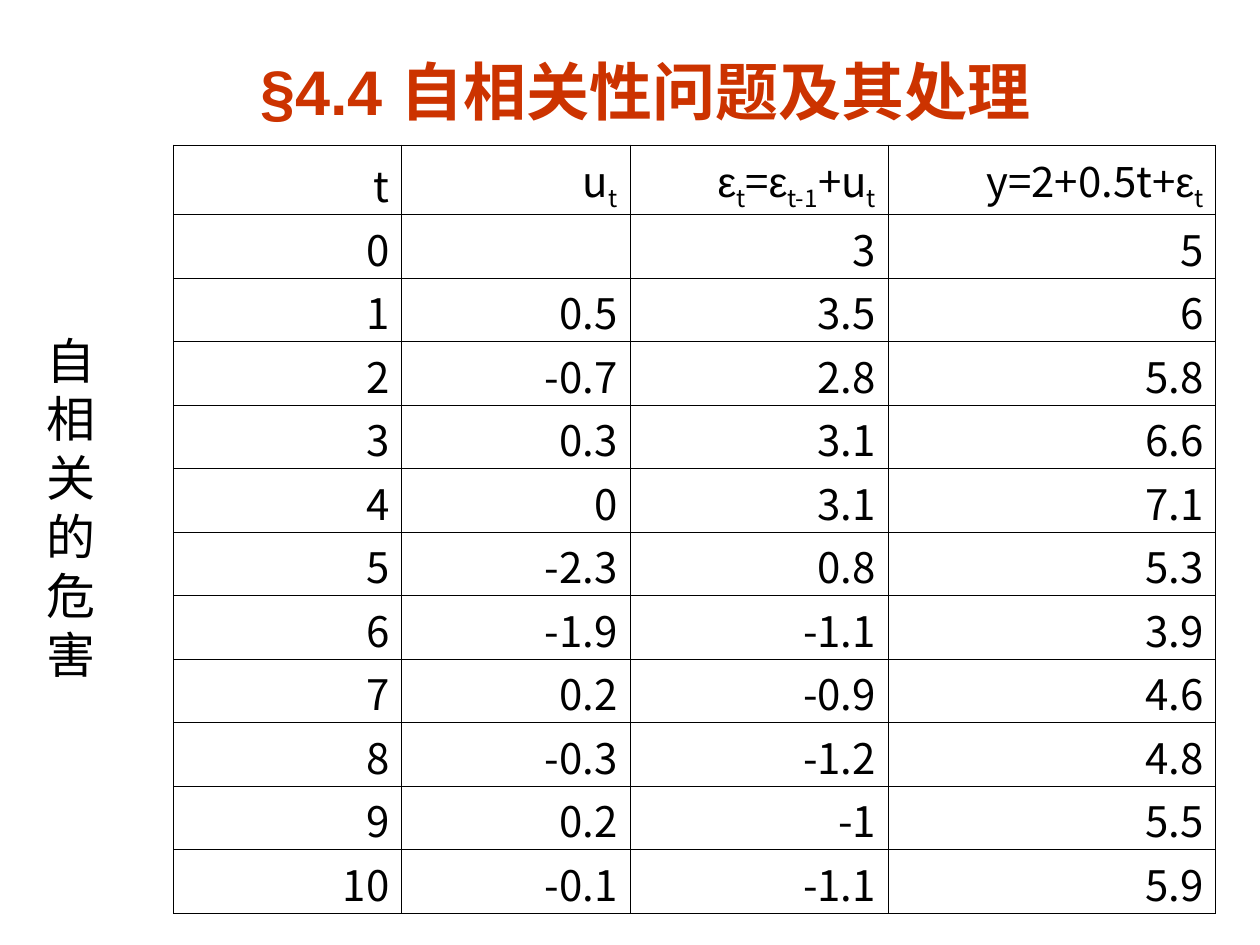
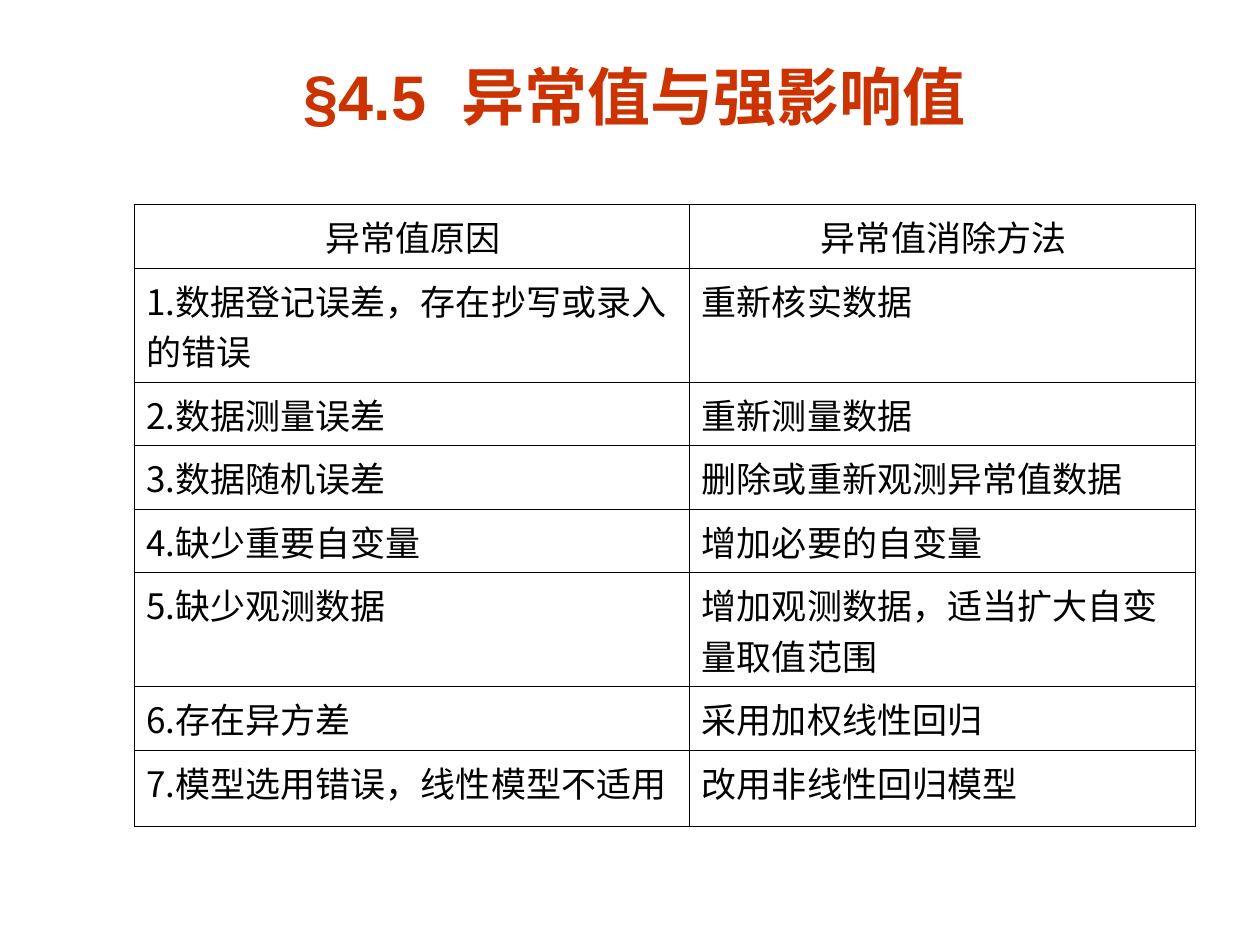
"""Build two statistics slides: an autocorrelation data table and outlier remedies."""
from dataclasses import dataclass

from lxml import etree
from pptx import Presentation
from pptx import util as u
from pptx.dml.color import RGBColor
from pptx.enum import text
from pptx.oxml.ns import qn

Cm, Pt = u.Cm, u.Pt
COLORS = {"title": "CC3300", "ink": "000000"}
LATIN, CJK = "Arial", "Noto Sans CJK SC"
LEFT, CENTER, RIGHT = text.PP_ALIGN.LEFT, text.PP_ALIGN.CENTER, text.PP_ALIGN.RIGHT
TOP, MIDDLE, BOTTOM = text.MSO_ANCHOR.TOP, text.MSO_ANCHOR.MIDDLE, text.MSO_ANCHOR.BOTTOM


@dataclass(frozen=True)
class Title:
    """A section number and heading, with the gap and offsets that place them."""
    number: str
    heading: str
    gap: int = 0
    pad_top: float = 0.13
    pad_right: float = 0.25


@dataclass(frozen=True)
class Grid:
    """A bordered table with its geometry and text style; insets run l, t, r, b."""
    left: float
    top: float
    cols: list[float]
    heights: list[float]
    rows: list[tuple]
    size: int
    head_align: text.PP_ALIGN
    body_align: text.PP_ALIGN
    anchor: text.MSO_ANCHOR
    insets: tuple[float, float, float, float]
    line: int | None = None


def style(p, size: int, name: str, color: str = "ink", bold: bool = False, align=LEFT) -> None:
    """Set the font and alignment of a whole paragraph."""
    p.alignment = align
    f = p.font
    f.size, f.bold = Pt(size), bold
    f.color.rgb = RGBColor.from_string(COLORS[color])
    f.name = name
    etree.SubElement(f._element, qn("a:ea"), typeface=CJK)


def add_title(s, title: Title) -> None:
    """Draw the centred slide title."""
    tf = s.shapes.add_textbox(Cm(2.11), Cm(0.71), Cm(21.79), Cm(2.21)).text_frame
    tf.word_wrap, tf.vertical_anchor = True, MIDDLE
    tf.margin_top, tf.margin_right = Cm(title.pad_top), Cm(title.pad_right)
    p = tf.paragraphs[0]
    for part in (title.number, " ", title.heading):
        r = p.add_run()
        r.text = part
        if part == " " and title.gap:
            r.font._element.set("spc", str(title.gap))
    style(p, 36, LATIN, "title", True, CENTER)


def add_side_label(s, label: str) -> None:
    """Draw a narrow label that wraps after every character."""
    tf = s.shapes.add_textbox(Cm(0.69), Cm(6.53), Cm(1.6), Cm(7.37)).text_frame
    tf.word_wrap = True
    p = tf.paragraphs[0]
    p.text = label
    style(p, 28, LATIN)


def add_borders(cell, width: float = 0.45) -> None:
    """Give a cell thin lines on all four sides and no fill."""
    tc_pr = cell._tc.get_or_add_tcPr()
    for side in ("lnL", "lnR", "lnT", "lnB"):
        ln = etree.SubElement(tc_pr, qn(f"a:{side}"), w=str(Pt(width)))
        fill = etree.SubElement(ln, qn("a:solidFill"))
        etree.SubElement(fill, qn("a:srgbClr"), val=COLORS["ink"])
    cell.fill.background()


def add_runs(p, parts: tuple[str, ...]) -> None:
    """Add runs; a leading underscore marks a subscript."""
    for part in parts:
        r = p.add_run()
        r.text = part.removeprefix("_")
        if part.startswith("_"):
            r.font._element.set("baseline", "-25000")
        if part == "ε":
            r.font.name = LATIN


def fill_cell(cell, value, grid: Grid, align: text.PP_ALIGN) -> None:
    """Write a cell; a tuple holds runs and a line break starts a paragraph."""
    cell.margin_left, cell.margin_top, cell.margin_right, cell.margin_bottom = map(Cm, grid.insets)
    cell.vertical_anchor = grid.anchor
    add_borders(cell)
    tf = cell.text_frame
    if isinstance(value, tuple):
        add_runs(tf.paragraphs[0], value)
    else:
        tf.text = str(value)
    for p in tf.paragraphs:
        if grid.line:
            p.line_spacing = Pt(grid.line)
        style(p, grid.size, CJK, align=align)


def add_grid(s, grid: Grid) -> None:
    """Draw a table."""
    table = s.shapes.add_table(
        len(grid.rows), len(grid.cols), Cm(grid.left), Cm(grid.top),
        Cm(sum(grid.cols)), Cm(sum(grid.heights))).table
    table.first_row = table.horz_banding = False
    for col, width in zip(table.columns, grid.cols):
        col.width = Cm(width)
    for i, (row, height, values) in enumerate(zip(table.rows, grid.heights, grid.rows)):
        row.height = Cm(height)
        for cell, value in zip(row.cells, values):
            fill_cell(cell, value, grid, grid.body_align if i else grid.head_align)


SERIES = Grid(
    left=3.5, top=2.92, cols=[4.6, 4.6, 5.21, 6.6], heights=[1.41] + [1.28] * 11,
    rows=[
        ("t", ("u", "_t"), ("ε", "_t", "=", "ε", "_t-1", "+u", "_t"), ("y=2+0.5t+", "ε", "_t")),
        (0, "", 3, 5),
        (1, 0.5, 3.5, 6),
        (2, -0.7, 2.8, 5.8),
        (3, 0.3, 3.1, 6.6),
        (4, 0, 3.1, 7.1),
        (5, -2.3, 0.8, 5.3),
        (6, -1.9, -1.1, 3.9),
        (7, 0.2, -0.9, 4.6),
        (8, -0.3, -1.2, 4.8),
        (9, 0.2, -1, 5.5),
        (10, -0.1, -1.1, 5.9),
    ],
    size=24, head_align=RIGHT, body_align=RIGHT, anchor=BOTTOM,
    insets=(0.25, 0, 0.25, 0), line=30)

REMEDIES = Grid(
    left=2.7, top=4.12, cols=[11.2, 10.2],
    heights=[1.28, 2.3, 1.28, 1.28, 1.28, 2.3, 1.28, 1.55],
    rows=[
        ("异常值原因", "异常值消除方法"),
        ("1.数据登记误差，存在抄写或录入\n的错误", "重新核实数据"),
        ("2.数据测量误差", "重新测量数据"),
        ("3.数据随机误差", "删除或重新观测异常值数据"),
        ("4.缺少重要自变量", "增加必要的自变量"),
        ("5.缺少观测数据", "增加观测数据，适当扩大自变量取值范围"),
        ("6.存在异方差", "采用加权线性回归"),
        ("7.模型选用错误，线性模型不适用", "改用非线性回归模型"),
    ],
    size=20, head_align=CENTER, body_align=LEFT, anchor=TOP,
    insets=(0.25, 0.13, 0.2, 0.13))


def main() -> None:
    """Assemble and save the deck."""
    prs = Presentation()
    prs.slide_width, prs.slide_height = Cm(25.4), Cm(19.05)
    blank = prs.slide_layouts[6]

    s = prs.slides.add_slide(blank)
    add_title(s, Title("§4.4", "自相关性问题及其处理"))
    add_side_label(s, "自相关的危害")
    add_grid(s, SERIES)

    s = prs.slides.add_slide(blank)
    add_title(s, Title("§4.5", "异常值与强影响值", gap=1000, pad_top=0.35, pad_right=0.68))
    add_grid(s, REMEDIES)

    prs.save("out.pptx")


if __name__ == "__main__":
    main()
